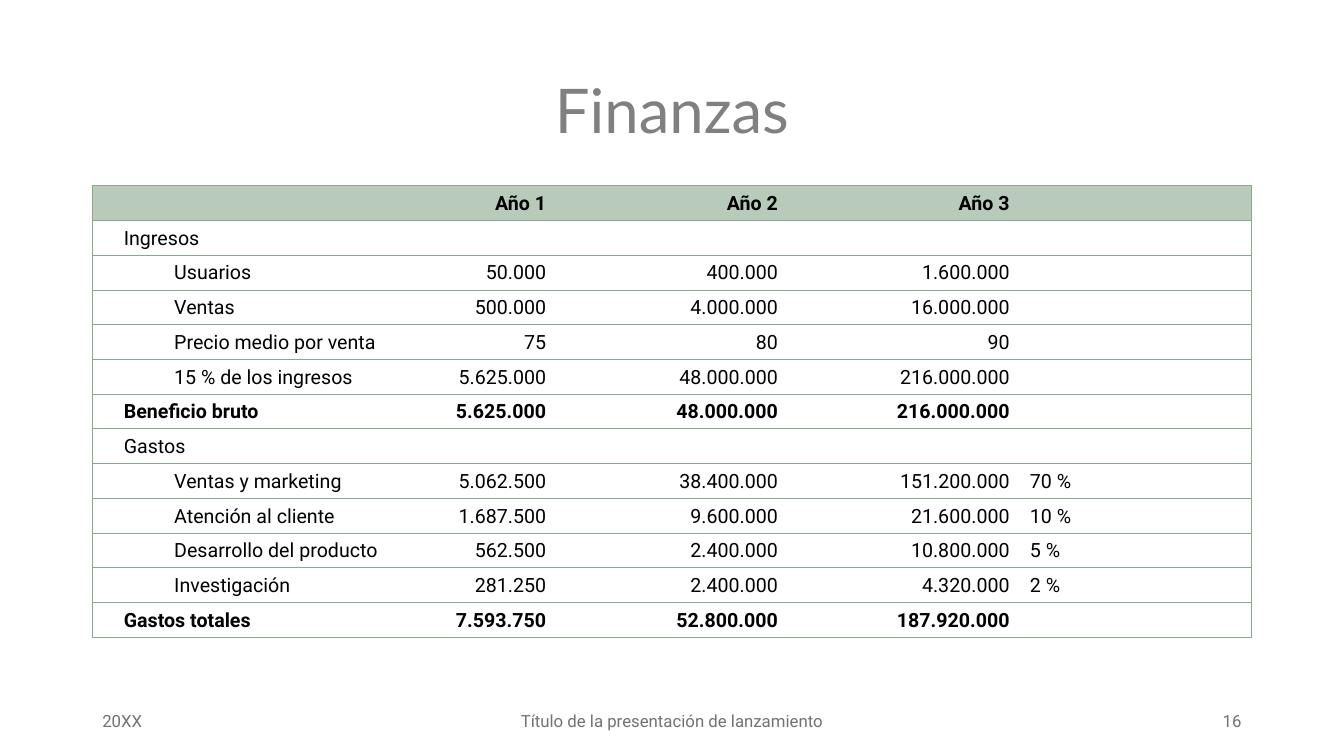
"""Build the three-year financial summary slide."""
from dataclasses import dataclass

from lxml.etree import SubElement
from pptx import Presentation
from pptx.dml.color import RGBColor
from pptx.enum.text import MSO_ANCHOR, PP_ALIGN
from pptx.oxml.ns import qn
from pptx.util import Cm, Pt


@dataclass(frozen=True)
class Theme:
    title: RGBColor = RGBColor(0x80, 0x80, 0x80)
    footer: RGBColor = RGBColor(0x76, 0x71, 0x71)
    text: RGBColor = RGBColor(0, 0, 0)
    header: RGBColor = RGBColor(0xB8, 0xCB, 0xBB)
    border: RGBColor = RGBColor(0x88, 0xA8, 0x8E)
    title_font: str = "Lato"
    body_font: str = "Roboto"
    title_size: Pt = Pt(44)
    body_size: Pt = Pt(14)
    footer_size: Pt = Pt(12)
    border_width: Pt = Pt(0.5)


theme = Theme()
LEFT, WIDTH = 2.33, 29.21
COLUMN_WIDTHS = [7.6, 4.09, 5.84, 5.84, 5.84]
ROW_HEIGHT = 0.875
SECTIONS = {"Ingresos", "Gastos"}
TOTALS = {"Beneficio bruto", "Gastos totales"}
ROWS = [
    ["", "Año 1", "Año 2", "Año 3", ""],
    ["Ingresos", "", "", "", ""],
    ["Usuarios", "50.000", "400.000", "1.600.000", ""],
    ["Ventas", "500.000", "4.000.000", "16.000.000", ""],
    ["Precio medio por venta", "75", "80", "90", ""],
    ["15 % de los ingresos", "5.625.000", "48.000.000", "216.000.000", ""],
    ["Beneficio bruto", "5.625.000", "48.000.000", "216.000.000", ""],
    ["Gastos", "", "", "", ""],
    ["Ventas y marketing", "5.062.500", "38.400.000", "151.200.000", "70 %"],
    ["Atención al cliente", "1.687.500", "9.600.000", "21.600.000", "10 %"],
    ["Desarrollo del producto", "562.500", "2.400.000", "10.800.000", "5 %"],
    ["Investigación", "281.250", "2.400.000", "4.320.000", "2 %"],
    ["Gastos totales", "7.593.750", "52.800.000", "187.920.000", ""],
]
FOOTERS = [
    ("20XX", LEFT, 7.62, PP_ALIGN.LEFT),
    ("Título de la presentación de lanzamiento", 11.22, 11.43, PP_ALIGN.CENTER),
    ("16", 23.92, 7.62, PP_ALIGN.RIGHT),
]


def style_text(p, font, size, color, align, bold=False):
    """Align a paragraph and format its runs."""
    p.alignment = align
    for r in p.runs:
        r.font.name = font
        r.font.size = size
        r.font.bold = bold
        r.font.color.rgb = color


def add_border(cell, side):
    """Draw one border of a cell."""
    ln = SubElement(cell._tc.get_or_add_tcPr(), qn(f"a:ln{side}"), w=str(theme.border_width))
    fill = SubElement(ln, qn("a:solidFill"))
    SubElement(fill, qn("a:srgbClr"), val=str(theme.border))


prs = Presentation()
prs.slide_width, prs.slide_height = Cm(33.87), Cm(19.05)
s = prs.slides.add_slide(prs.slide_layouts[5])

title = s.shapes.title
title.left, title.top, title.width, title.height = Cm(LEFT), Cm(1.02), Cm(WIDTH), Cm(3.68)
tf = title.text_frame
tf.text = "Finanzas"
tf.vertical_anchor = MSO_ANCHOR.MIDDLE
p = tf.paragraphs[0]
p.line_spacing = 0.9
style_text(p, theme.title_font, theme.title_size, theme.title, PP_ALIGN.CENTER)

frame = s.shapes.add_table(len(ROWS), len(COLUMN_WIDTHS), Cm(LEFT), Cm(4.68),
                           Cm(WIDTH), Cm(ROW_HEIGHT * len(ROWS)))
table = frame.table
table.first_row = table.horz_banding = False
style_id = table._tbl.tblPr.find(qn("a:tableStyleId"))
style_id.text = "{2D5ABB26-0587-4C30-8999-92F81FD0307C}"
for column, width in zip(table.columns, COLUMN_WIDTHS):
    column.width = Cm(width)

last = len(COLUMN_WIDTHS) - 1
for i, row in enumerate(ROWS):
    table.rows[i].height = Cm(ROW_HEIGHT)
    bold = i == 0 or row[0] in TOTALS
    detail = i > 0 and row[0] not in SECTIONS | TOTALS
    for j, text in enumerate(row):
        cell = table.cell(i, j)
        cell.text = text
        cell.vertical_anchor = MSO_ANCHOR.BOTTOM
        p = cell.text_frame.paragraphs[0]
        if j == 0:
            cell.margin_left = Cm(0.79)
            if detail:
                p.level = 1
                p._p.get_or_add_pPr().set("marL", str(Cm(1.27)))
        align = PP_ALIGN.RIGHT if 0 < j < last else PP_ALIGN.LEFT
        style_text(p, theme.body_font, theme.body_size, theme.text, align, bold)
        if not text:
            SubElement(p._p, qn("a:endParaRPr"), sz=str(int(theme.body_size.pt * 100)))
        sides = ("L" if j == 0 else "") + ("R" if j == last else "") + "TB"
        for side in sides:
            add_border(cell, side)
        if i == 0:
            cell.fill.solid()
            cell.fill.fore_color.rgb = theme.header
        else:
            cell.fill.background()

for text, left, width, align in FOOTERS:
    sp = s.shapes.add_textbox(Cm(left), Cm(17.65), Cm(width), Cm(1.02))
    tf = sp.text_frame
    tf.word_wrap = True
    tf.vertical_anchor = MSO_ANCHOR.MIDDLE
    tf.text = text
    style_text(tf.paragraphs[0], theme.body_font, theme.footer_size, theme.footer, align)

prs.save("out.pptx")
